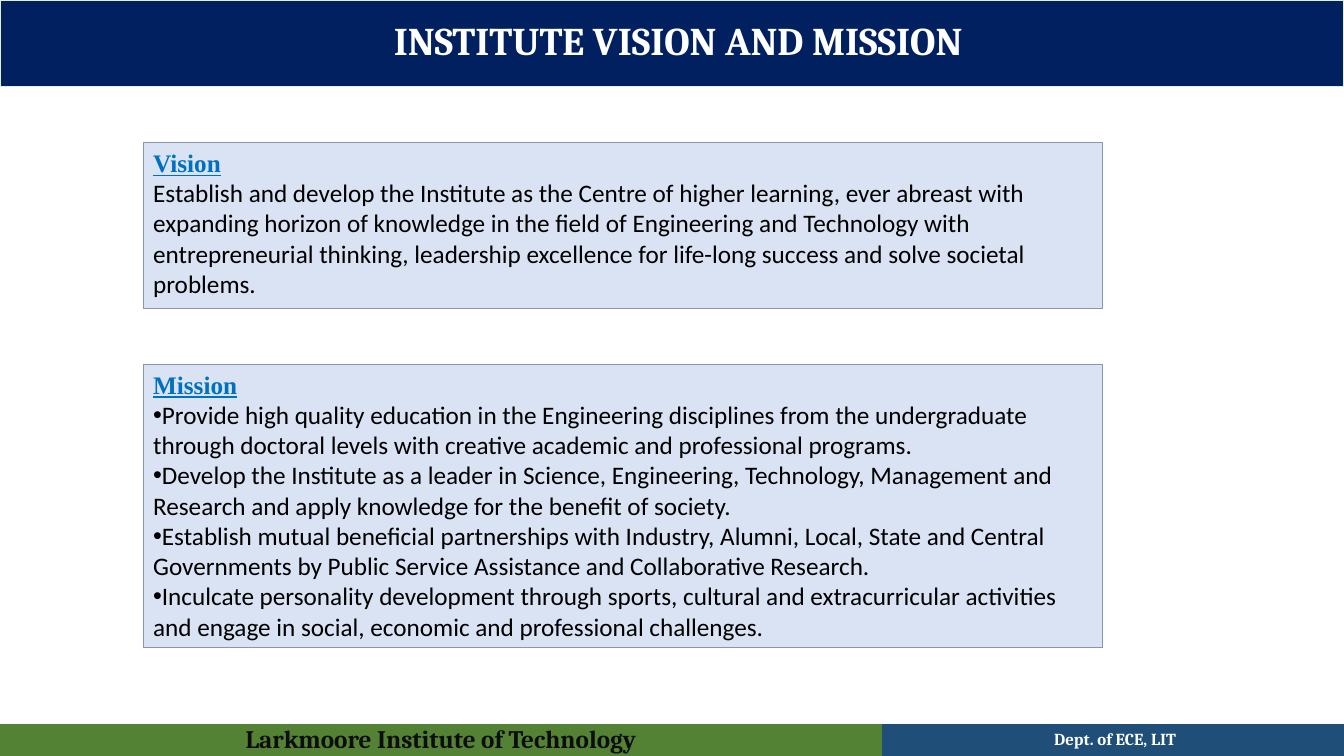
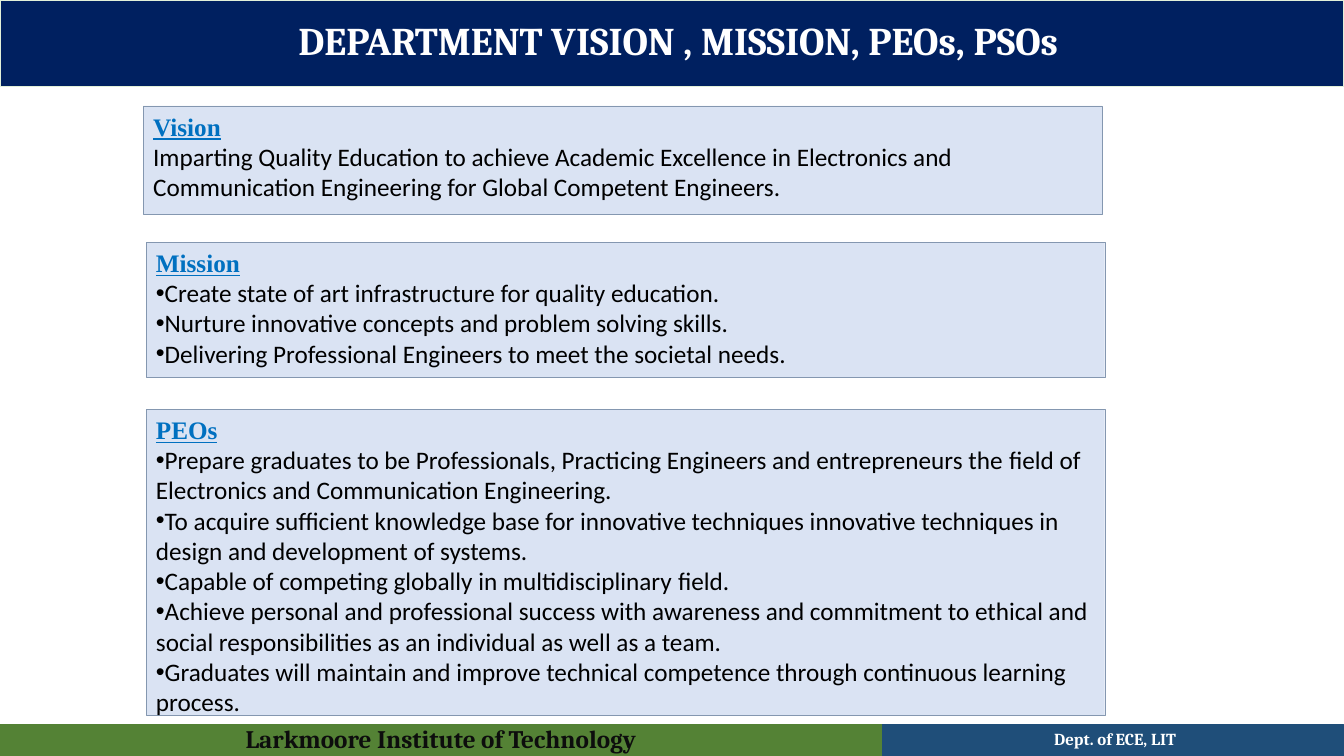
from pptx import Presentation
from pptx.dml.color import RGBColor
from pptx.enum.shapes import MSO_SHAPE
from pptx.enum.text import MSO_ANCHOR, MSO_AUTO_SIZE, PP_ALIGN
from pptx.oxml.xmlchemy import OxmlElement
from pptx.util import Cm, Pt

NAVY = RGBColor(0x00, 0x20, 0x60)
PALE_GREEN = RGBColor(0xE2, 0xF0, 0xD9)
GREEN = RGBColor(0x54, 0x82, 0x35)
STEEL = RGBColor(0x1F, 0x4E, 0x79)
PALE_BLUE = RGBColor(0xDA, 0xE3, 0xF3)
SLATE = RGBColor(0x84, 0x97, 0xB0)
LINK_BLUE = RGBColor(0x00, 0x70, 0xC0)
NEAR_BLACK = RGBColor(0x0D, 0x0D, 0x0D)
BLACK = RGBColor(0x00, 0x00, 0x00)
WHITE = RGBColor(0xFF, 0xFF, 0xFF)

SLIDE_WIDTH, SLIDE_HEIGHT = 33.87, 19.05
FOOTER_TOP = 18.26
FOOTER_SPLIT = 22.23
PANEL_LEFT, PANEL_WIDTH = 3.61, 24.16
TWO_CONTENT, COMPARISON = 3, 4


class Deck:
    """Hold the shared style and the slide being built."""

    TITLE = {"name": "Cambria", "size": Pt(28), "bold": True, "color": WHITE}
    SCHOOL = {"name": "Cambria", "size": Pt(18), "bold": True, "color": NEAR_BLACK}
    DEPARTMENT = {"name": "Cambria", "size": Pt(12), "bold": True, "color": WHITE}
    HEADING = {"name": "Times New Roman", "size": Pt(18), "bold": True,
               "underline": True, "color": LINK_BLUE}
    BODY = {"name": "Calibri", "size": Pt(18), "bold": False,
            "underline": False, "color": BLACK}
    CENTRED = {"alignment": PP_ALIGN.CENTER, "line_spacing": 0.9}
    LEFT = {"alignment": PP_ALIGN.LEFT, "line_spacing": 1.0,
            "space_before": Pt(0), "space_after": Pt(0)}
    FRAME = {"word_wrap": True, "auto_size": MSO_AUTO_SIZE.NONE,
             "margin_left": Cm(0.25), "margin_right": Cm(0.25),
             "margin_top": Cm(0.13), "margin_bottom": Cm(0.13)}

    def __init__(self):
        self.deck = Presentation()
        self.deck.slide_width = Cm(SLIDE_WIDTH)
        self.deck.slide_height = Cm(SLIDE_HEIGHT)

    def apply(self, target, values):
        for name, value in values.items():
            if name == "color":
                target.color.rgb = value
            else:
                setattr(target, name, value)

    def dress(self, box, area, fill, line, line_width, anchor, margin_left=0.25):
        places = ("left", "top", "width", "height")
        self.apply(box, dict(zip(places, map(Cm, area))))
        box.fill.solid()
        box.fill.fore_color.rgb = fill
        box.line.color.rgb = line
        box.line.width = Pt(line_width)
        self.apply(box.text_frame, {**self.FRAME, "vertical_anchor": anchor,
                                    "margin_left": Cm(margin_left)})

    def add_text(self, para, text, font, layout):
        span = para.add_run()
        span.text = text
        self.apply(span.font, font)
        self.apply(para, layout)

    def mark(self, para, bullet):
        properties = para._p.get_or_add_pPr()
        properties.set("marL", "0")
        properties.set("indent", "0")
        mark = OxmlElement("a:buChar" if bullet else "a:buNone")
        if bullet:
            mark.set("char", "•")
        properties.append(mark)

    def band(self, box, text, area, fill, line, font, margin_left):
        self.dress(box, area, fill, line, 0.75, MSO_ANCHOR.MIDDLE, margin_left)
        self.add_text(box.text_frame.paragraphs[0], text, font, self.CENTRED)

    def footer(self, text, left, right, fill, font, margin_left=0.25):
        area = (left, FOOTER_TOP, right - left, SLIDE_HEIGHT - FOOTER_TOP)
        box = self.page.shapes.add_shape(MSO_SHAPE.RECTANGLE, *map(Cm, area))
        box.shadow.inherit = False
        self.band(box, text, area, fill, fill, font, margin_left)

    def start(self, title, layout):
        self.page = self.deck.slides.add_slide(self.deck.slide_layouts[layout])
        heading, *self.bodies = self.page.placeholders
        self.band(heading, title, (0, 0, SLIDE_WIDTH, 2.18), NAVY, PALE_GREEN,
                  self.TITLE, 0.56)
        self.footer("Larkmoore Institute of Technology", 0, FOOTER_SPLIT,
                    GREEN, self.SCHOOL)
        self.footer("Dept. of ECE, LIT", FOOTER_SPLIT, SLIDE_WIDTH,
                    STEEL, self.DEPARTMENT, 0.36)

    def panel(self, heading, lines, top, height, shift=0, bullet=True):
        box = self.bodies.pop(0)
        self.dress(box, (PANEL_LEFT + shift, top, PANEL_WIDTH, height),
                   PALE_BLUE, SLATE, 0.25, MSO_ANCHOR.TOP)
        para = box.text_frame.paragraphs[0]
        self.add_text(para, heading, self.HEADING, self.LEFT)
        self.mark(para, False)
        for line in lines:
            para = box.text_frame.add_paragraph()
            self.add_text(para, line, self.BODY, self.LEFT)
            self.mark(para, bullet)

    def finish(self):
        for box in self.bodies:
            box.element.getparent().remove(box.element)


def main():
    show = Deck()

    show.start("INSTITUTE VISION AND MISSION", TWO_CONTENT)
    show.panel("Vision", [
        "Establish and develop the Institute as the Centre of higher learning, "
        "ever abreast with expanding horizon of knowledge in the ﬁeld of "
        "Engineering and Technology with entrepreneurial thinking, leadership "
        "excellence for life-long success and solve societal problems.",
    ], 3.58, 4.19, bullet=False)
    show.panel("Mission", [
        "Provide high quality education in the Engineering disciplines from the "
        "undergraduate through doctoral levels with creative academic and "
        "professional programs.",
        "Develop the Institute as a leader in Science, Engineering, Technology, "
        "Management and Research and apply knowledge for the beneﬁt of society.",
        "Establish mutual beneﬁcial partnerships with Industry, Alumni, Local, "
        "State and Central Governments by Public Service Assistance and "
        "Collaborative Research.",
        "Inculcate personality development through sports, cultural and "
        "extracurricular activities and engage in social, economic and "
        "professional challenges.",
    ], 9.17, 7.14)
    show.finish()

    show.start("DEPARTMENT VISION , MISSION, PEOs, PSOs", COMPARISON)
    show.panel("Vision", [
        "Imparting Quality Education to achieve Academic Excellence in "
        "Electronics and Communication Engineering for Global Competent "
        "Engineers.",
    ], 2.67, 2.74, bullet=False)
    show.panel("Mission", [
        "Create state of art infrastructure for quality education.",
        "Nurture innovative concepts and problem solving skills.",
        "Delivering Professional Engineers to meet the societal needs.",
    ], 6.1, 3.4, shift=0.07)
    show.panel("PEOs", [
        "Prepare graduates to be Professionals, Practicing Engineers and "
        "entrepreneurs the field of Electronics and Communication Engineering.",
        "To acquire sufficient knowledge base for innovative techniques "
        "innovative techniques in design and development of systems.",
        "Capable of competing globally in multidisciplinary field.",
        "Achieve personal and professional success with awareness and commitment "
        "to ethical and social responsibilities as an individual as well as a "
        "team.",
        "Graduates will maintain and improve technical competence through "
        "continuous learning process.",
    ], 10.31, 7.72, shift=0.07)
    show.finish()

    show.deck.save("out.pptx")


if __name__ == "__main__":
    main()
